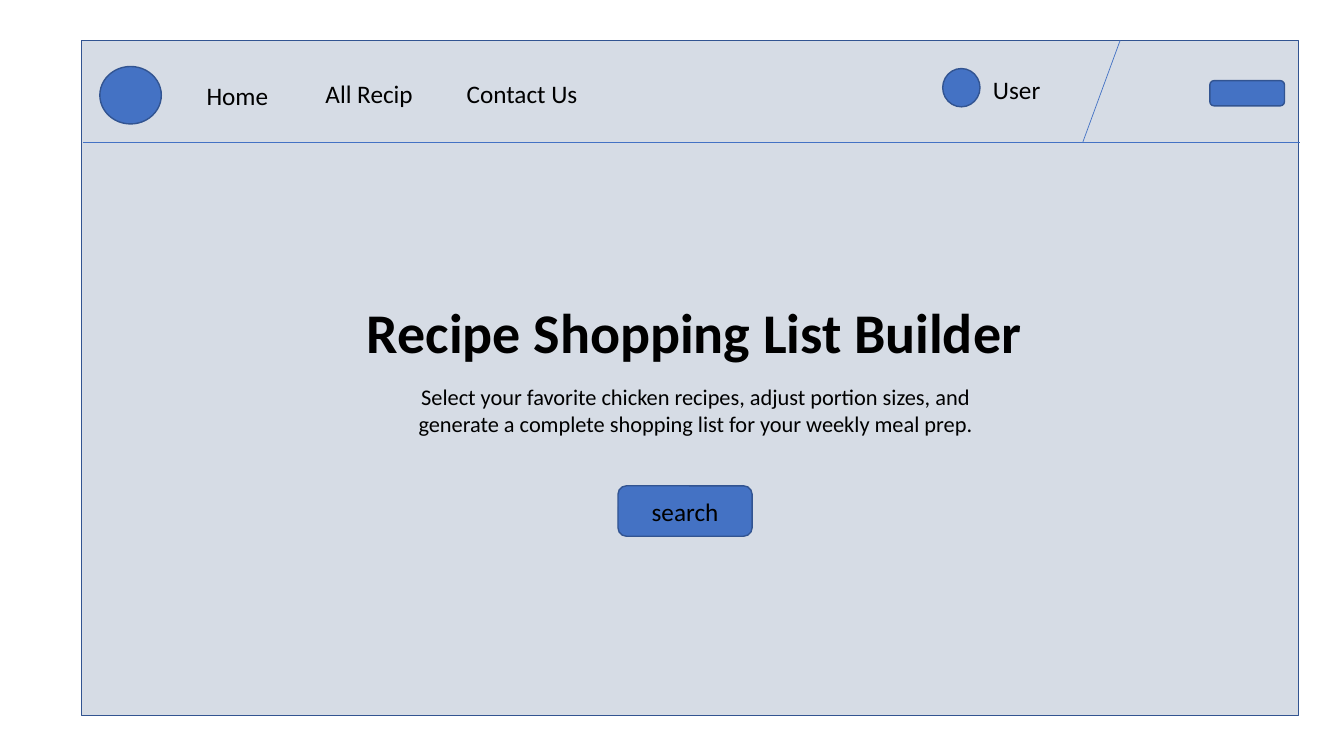
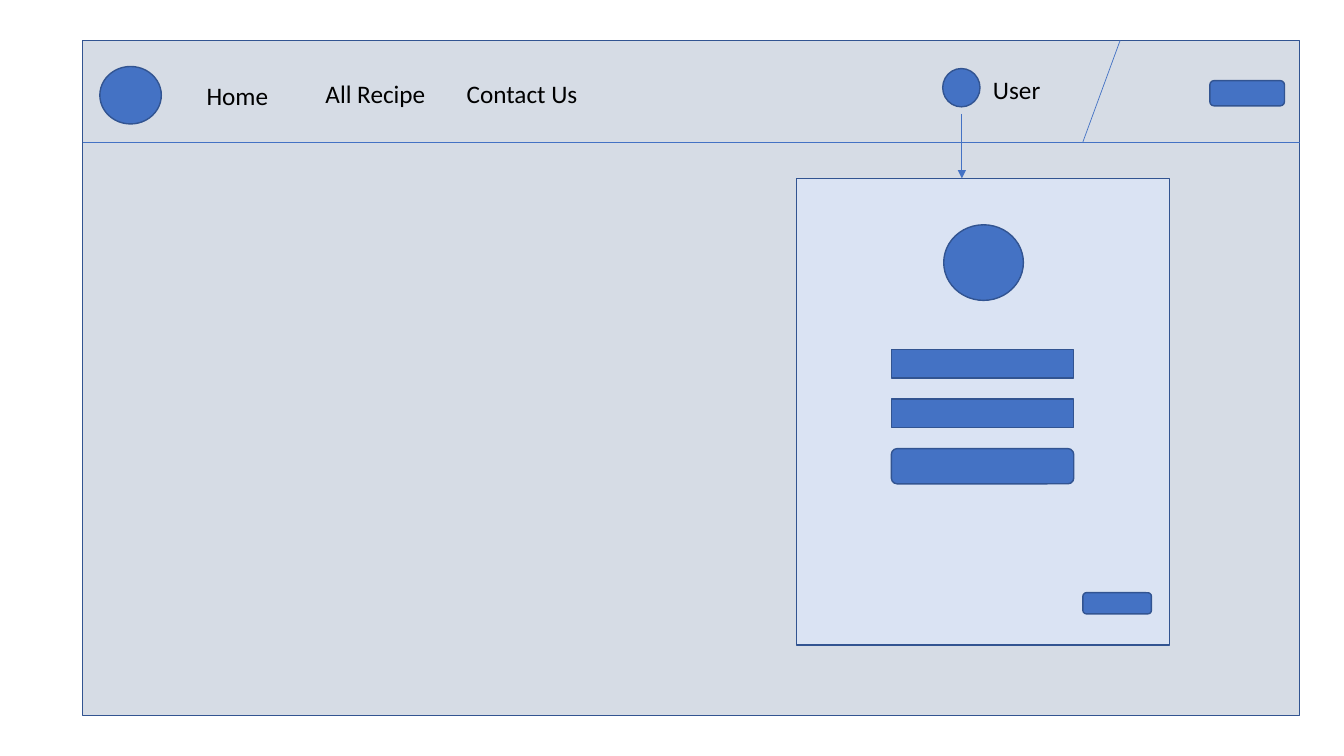
import pptx
import pptx.dml.color
import pptx.enum.shapes
import pptx.enum.text
import pptx.oxml.ns
import pptx.util
from lxml import etree

Inches = pptx.util.Inches
Pt = pptx.util.Pt
RGBColor = pptx.dml.color.RGBColor
SHAPE = pptx.enum.shapes.MSO_SHAPE
ALIGN = pptx.enum.text.PP_ALIGN
qn = pptx.oxml.ns.qn

PAGE_GREY = RGBColor(0xD6, 0xDC, 0xE5)
PANEL_BLUE = RGBColor(0xDA, 0xE3, 0xF3)
ACCENT = RGBColor(0x44, 0x72, 0xC4)
OUTLINE = RGBColor(0x32, 0x54, 0x91)
BLACK = RGBColor(0, 0, 0)
FONT = "Calibri"

PAGE_TOP, PAGE_WIDTH, PAGE_HEIGHT = 0.4, 12.07, 6.7
HEADER_BOTTOM = 1.41


class Wireframe:
    """Holds the style and the current slide."""

    def __init__(self):
        self.deck = pptx.Presentation()
        self.deck.slide_width = Inches(13.33)
        self.deck.slide_height = Inches(7.5)
        self.slide = None

    def new_slide(self):
        self.slide = self.deck.slides.add_slide(self.deck.slide_layouts[6])

    def set_text(self, frame, text, size, bold=False, align=ALIGN.LEFT):
        frame.word_wrap = True
        paragraph = frame.paragraphs[0]
        paragraph.text = text
        paragraph.alignment = align
        paragraph.font.name = FONT
        paragraph.font.size = Pt(size)
        paragraph.font.bold = bold
        paragraph.font.color.rgb = BLACK

    def block(self, kind, left, top, width, height, fill=ACCENT, text=None):
        shape = self.slide.shapes.add_shape(
            kind, Inches(left), Inches(top), Inches(width), Inches(height))
        shape.shadow.inherit = False
        shape.fill.solid()
        shape.fill.fore_color.rgb = fill
        shape.line.color.rgb = OUTLINE
        shape.line.width = Pt(1)
        if text:
            self.set_text(shape.text_frame, text, 18, align=ALIGN.CENTER)

    def label(self, text, left, top, width, height=0.4, size=18, **style):
        box = self.slide.shapes.add_textbox(
            Inches(left), Inches(top), Inches(width), Inches(height))
        self.set_text(box.text_frame, text, size, **style)

    def rule(self, x1, y1, x2, y2, arrow=False):
        line = self.slide.shapes.add_connector(
            pptx.enum.shapes.MSO_CONNECTOR.STRAIGHT,
            Inches(x1), Inches(y1), Inches(x2), Inches(y2))
        line.line.color.rgb = ACCENT
        line.line.width = Pt(0.5)
        properties = line.element.spPr
        if arrow:
            etree.SubElement(properties.find(qn("a:ln")), qn("a:tailEnd"), type="triangle")
        etree.SubElement(properties, qn("a:effectLst"))

    def page(self, left, recipes_text, recipes_width):
        """Page background with the shared header bar."""
        self.new_slide()
        self.block(SHAPE.RECTANGLE, left, PAGE_TOP, PAGE_WIDTH, PAGE_HEIGHT, PAGE_GREY)
        self.rule(0.82, HEADER_BOTTOM, 12.89, HEADER_BOTTOM)
        # Logo spot and navigation
        self.block(SHAPE.OVAL, 0.99, 0.66, 0.61, 0.57)
        self.label("Home", 1.95, 0.75, 0.98)
        self.label(recipes_text, 3.13, 0.73, recipes_width)
        self.label("Contact Us", 4.53, 0.73, 1.33)
        # User area and header button
        self.block(SHAPE.ROUNDED_RECTANGLE, 12, 0.8, 0.74, 0.25)
        self.rule(11.11, PAGE_TOP, 10.74, HEADER_BOTTOM)
        self.block(SHAPE.OVAL, 9.35, 0.68, 0.37, 0.38)
        self.label("User", 9.75, 0.69, 0.69)


def home_page(frame):
    frame.page(0.81, "All Recip", 1.14)
    # Title, introduction and search button
    frame.label("Recipe Shopping List Builder", 3.54, 2.9, 7.02, 1.08, size=40, bold=True)
    frame.label("Select your favorite chicken recipes, adjust portion sizes, and "
                "generate a complete shopping list for your weekly meal prep.",
                3.98, 3.75, 5.84, 0.64, size=16, align=ALIGN.CENTER)
    frame.block(SHAPE.ROUNDED_RECTANGLE, 6.13, 4.82, 1.33, 0.5, text="search")


def user_page(frame):
    frame.page(0.82, "All Recipe", 1.24)
    # User panel with avatar
    panel_top = 1.77
    frame.block(SHAPE.RECTANGLE, 7.9, panel_top, 3.7, 4.63, PANEL_BLUE)
    frame.block(SHAPE.OVAL, 9.36, 2.23, 0.79, 0.75)
    # Form fields and buttons
    fields = [(SHAPE.RECTANGLE, 0.28), (SHAPE.RECTANGLE, 0.28),
              (SHAPE.ROUNDED_RECTANGLE, 0.35)]
    for row, (kind, height) in enumerate(fields):
        frame.block(kind, 8.84, 3.47 + 0.49 * row, 1.81, height)
    frame.block(SHAPE.ROUNDED_RECTANGLE, 10.74, 5.88, 0.68, 0.21)
    # Arrow from the user icon to the panel
    frame.rule(9.54, 1.13, 9.54, panel_top, arrow=True)


def main():
    frame = Wireframe()
    home_page(frame)
    user_page(frame)
    frame.deck.save("out.pptx")


if __name__ == "__main__":
    main()
